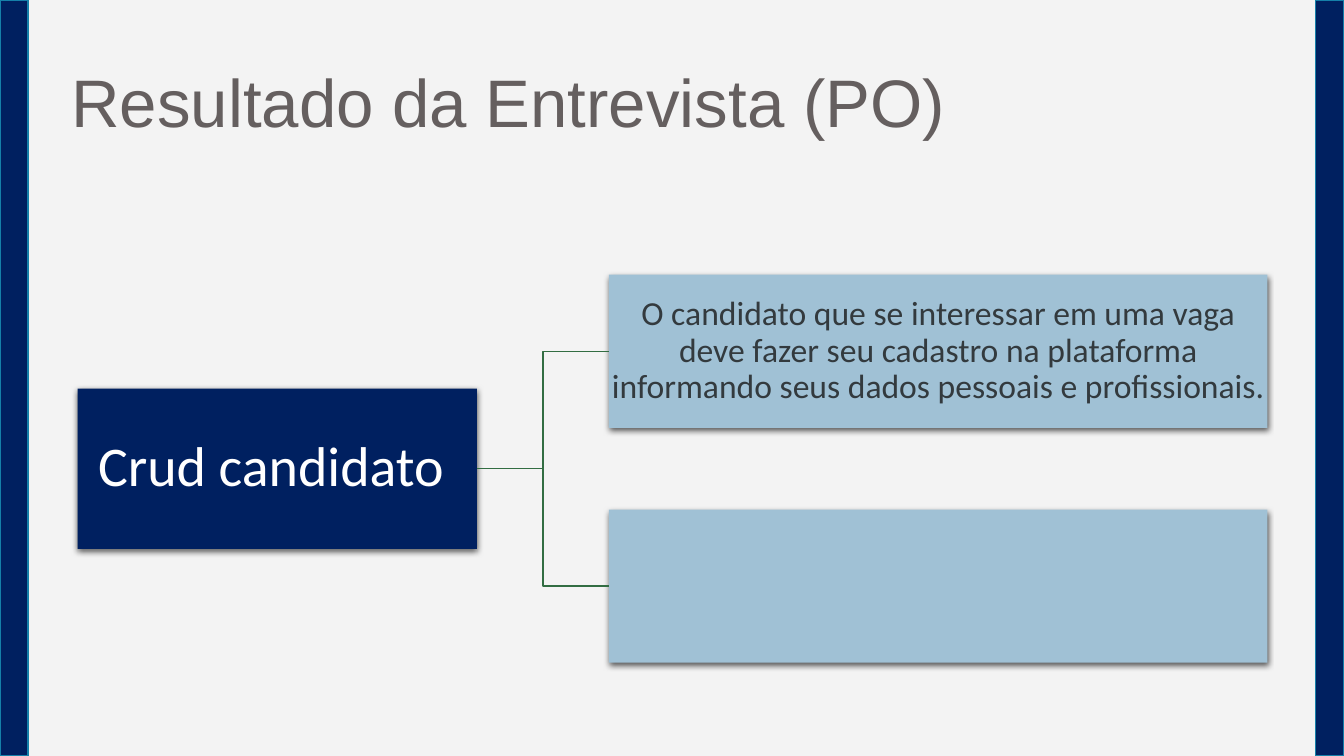
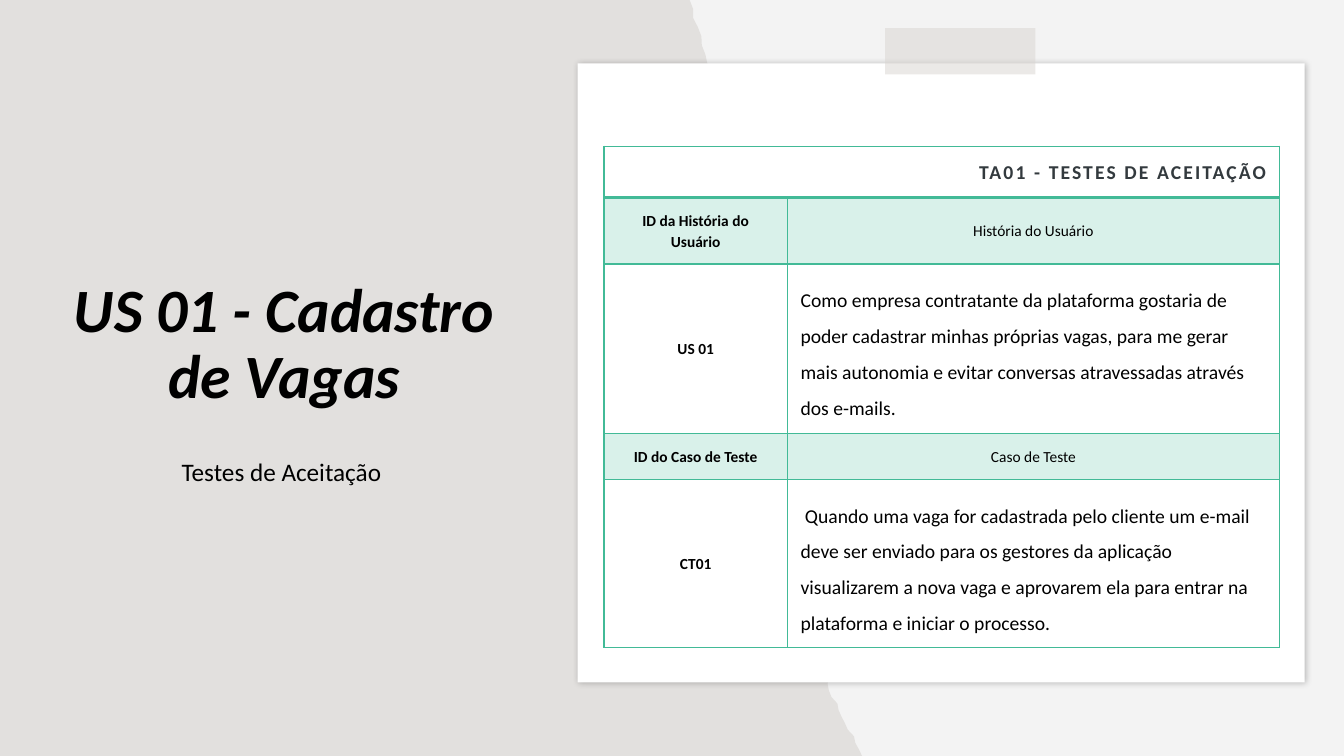
from itertools import pairwise
from math import sin

from lxml.etree import SubElement
from pptx import Presentation
from pptx.dml.color import RGBColor
from pptx.enum.shapes import MSO_CONNECTOR as CONN, MSO_SHAPE as SHAPE
from pptx.enum.text import MSO_ANCHOR as ANCHOR, PP_ALIGN as ALIGN
from pptx.oxml.ns import qn
from pptx.util import Inches, Pt

BG, NAVY, SKY, INK, TEAL, MINT = "F3F3F3", "002060", "A0C1D5", "333A3E", "42BA97", "D9F1EA"
BLACK, WHITE, GREY = "000000", "FFFFFF", "655F5F"
BAR_LINE, LINK_GREEN, PAPER, TAPE = "1580A9", "326D42", "82766A", "D9D4D0"
WIDTH, HEIGHT = 13.33, 7.5
BAR_W = 0.28

ROOT = "Crud candidato "
LEAVES = [
    "O candidato que se interessar em uma vaga deve fazer seu cadastro na plataforma "
    "informando seus dados pessoais e profissionais.",
    "",
]
TREE_MID = 4.65
ROOT_LEFT, ROOT_W, ROOT_H = 0.77, 3.96, 1.59
LEAF_LEFT, LEAF_W, LEAF_H, LEAF_GAP = 6.04, 6.53, 1.52, 0.81

TABLE_TITLE = "TA01 - TESTES DE ACEITAÇÃO"
TABLE_SECTIONS = [
    (("ID da História do Usuário", "História do Usuário"),
     ("US 01", "Como empresa contratante da plataforma gostaria de poder cadastrar minhas próprias "
      "vagas, para me gerar mais autonomia e evitar conversas atravessadas através dos e-mails.")),
    (("ID do Caso de Teste", "Caso de Teste"),
     ("CT01", "\u00a0Quando uma vaga for cadastrada pelo cliente um e-mail deve ser enviado para os "
      "gestores da aplicação visualizarem a nova vaga e aprovarem ela para entrar na plataforma "
      "e iniciar o processo.")),
]
TABLE_LEFT, TABLE_TOP = 5.99, 1.45
COL_WIDTHS = [1.82, 4.88]
ROW_HEIGHTS = [0.51, 0.66, 1.68, 0.45, 1.67]

TEAR_BENDS = [(6.84, 0), (7.1, 0.9), (7.26, 2.3), (7.29, 4), (7.54, 5.1), (8.23, 6.2),
              (8.22, 6.85), (8.55, HEIGHT)]
TEAR_STEPS, TEAR_DEPTH = 10, 0.02


def rgb(color):
    return RGBColor.from_string(color)


def set_alpha(color_el, percent):
    SubElement(color_el, qn("a:alpha"), val=str(percent * 1000))


def paint(sp, fill, line=None, alpha=None):
    sp.shadow.inherit = False
    sp.fill.solid()
    sp.fill.fore_color.rgb = rgb(fill)
    if alpha:
        set_alpha(sp._element.spPr.find(qn("a:solidFill"))[0], alpha)
    if line:
        sp.line.color.rgb = rgb(line)
        sp.line.width = Pt(1)
    else:
        sp.line.fill.background()


def add_shadow(sp, alpha, blur, dist, angle):
    effects = sp._element.spPr.find(qn("a:effectLst"))
    shadow = SubElement(effects, qn("a:outerShdw"), blurRad=str(Pt(blur)), dist=str(Pt(dist)),
                        dir=str(angle * 60000), algn="ctr", rotWithShape="0")
    set_alpha(SubElement(shadow, qn("a:srgbClr"), val=BLACK), alpha)


def set_margins(holder, inches):
    for side in ("left", "right", "top", "bottom"):
        setattr(holder, f"margin_{side}", Inches(inches))


def write(tf, text, size, color, align=ALIGN.CENTER, anchor=ANCHOR.MIDDLE, spacing=0.9,
          font="Calibri", bold=False, italic=False):
    tf.word_wrap = True
    tf.vertical_anchor = anchor
    p = tf.paragraphs[0]
    p.alignment = align
    p.line_spacing = spacing
    r = p.add_run()
    r.text = text
    r.font.size = Pt(size)
    r.font.name = font
    r.font.color.rgb = rgb(color)
    r.font.bold = bold
    r.font.italic = italic
    return p, r


def add_rect(s, box, fill, line=None, alpha=None):
    sp = s.shapes.add_shape(SHAPE.RECTANGLE, *map(Inches, box))
    paint(sp, fill, line, alpha)
    return sp


def add_text(s, box, text, size, color, **style):
    write(s.shapes.add_textbox(*map(Inches, box)).text_frame, text, size, color, **style)


def add_title(s, box, text, size, color, **style):
    add_text(s, box, text, size, color, anchor=ANCHOR.BOTTOM, **style)


def add_node(s, left, middle, width, height, fill, text, size, color):
    sp = add_rect(s, (left, middle - height / 2, width, height), fill)
    add_shadow(sp, 63, 4.5, 1.5, 90)
    set_margins(sp.text_frame, 0.02)
    if text:
        write(sp.text_frame, text, size, color)
    return sp


def add_link(s, parent, child):
    link = s.shapes.add_connector(CONN.ELBOW, 0, 0, 0, 0)
    link.begin_connect(parent, 3)
    link.end_connect(child, 1)
    link.line.color.rgb = rgb(LINK_GREEN)
    link.line.width = Pt(1)
    SubElement(link._element.spPr, qn("a:effectLst"))


def add_tree(s):
    root = add_node(s, ROOT_LEFT, TREE_MID, ROOT_W, ROOT_H, NAVY, ROOT, 40, WHITE)
    for i, text in enumerate(LEAVES):
        middle = TREE_MID + (i - (len(LEAVES) - 1) / 2) * (LEAF_H + LEAF_GAP)
        leaf = add_node(s, LEAF_LEFT, middle, LEAF_W, LEAF_H, SKY, text, 24, INK)
        add_link(s, root, leaf)


def tear_edge():
    for (x0, y0), (x1, y1) in pairwise(TEAR_BENDS):
        for step in range(TEAR_STEPS):
            t = step / TEAR_STEPS
            y = y0 + (y1 - y0) * t
            yield x0 + (x1 - x0) * t + TEAR_DEPTH * sin(29 * y) * sin(11 * y), y
    yield TEAR_BENDS[-1]


def add_torn_paper(s):
    outline = [*tear_edge(), (0, HEIGHT)]
    builder = s.shapes.build_freeform(0, 0)
    builder.add_line_segments([(Inches(x), Inches(y)) for x, y in outline], close=True)
    paint(builder.convert_to_shape(), PAPER, alpha=15)


def style_cell(cell, fill=None, bottom=1):
    tcPr = cell._tc.get_or_add_tcPr()
    for side, width in zip("LRTB", (1, 1, 1, bottom)):
        ln = SubElement(tcPr, qn("a:ln" + side), w=str(Pt(width)))
        SubElement(SubElement(ln, qn("a:solidFill")), qn("a:srgbClr"), val=TEAL)
    if fill:
        cell.fill.solid()
        cell.fill.fore_color.rgb = rgb(fill)
    else:
        cell.fill.background()
    set_margins(cell, 0.13)


def write_cell(cell, text, size, color, spacing=1.07, **style):
    p, r = write(cell.text_frame, text, size, color, spacing=spacing, **style)
    p.space_after = Pt(8)
    cell.vertical_anchor = ANCHOR.MIDDLE
    return r


def add_test_table(s):
    table = s.shapes.add_table(len(ROW_HEIGHTS), len(COL_WIDTHS),
                               Inches(TABLE_LEFT), Inches(TABLE_TOP),
                               Inches(sum(COL_WIDTHS)), Inches(sum(ROW_HEIGHTS))).table
    table.first_row = table.horz_banding = False
    for col, width in zip(table.columns, COL_WIDTHS):
        col.width = Inches(width)
    for row, height in zip(table.rows, ROW_HEIGHTS):
        row.height = Inches(height)

    heading, *body = table.rows
    heading.cells[0].merge(heading.cells[1])
    for cell in heading.cells:
        style_cell(cell, bottom=2)
    r = write_cell(heading.cells[0], TABLE_TITLE, 14, INK, align=ALIGN.RIGHT, bold=True)
    r.font._element.set("spc", "150")

    rows = iter(body)
    for labels, (code, story) in TABLE_SECTIONS:
        label_cells, (code_cell, story_cell) = next(rows).cells, next(rows).cells
        for cell, label, bold in zip(label_cells, labels, (True, False)):
            style_cell(cell, MINT)
            write_cell(cell, label, 11, BLACK, bold=bold)
        style_cell(code_cell)
        write_cell(code_cell, code, 11, BLACK, bold=True)
        style_cell(story_cell)
        write_cell(story_cell, story, 14, BLACK, spacing=1.5, align=ALIGN.LEFT)


prs = Presentation()
prs.slide_width, prs.slide_height = Inches(WIDTH), Inches(HEIGHT)
master_fill = prs.slide_master.background.fill
master_fill.solid()
master_fill.fore_color.rgb = rgb(BG)
blank = prs.slide_layouts[6]

s = prs.slides.add_slide(blank)
add_tree(s)
add_title(s, (0.61, 0.41, 9.88, 1.05), "Resultado da Entrevista (PO)", 48, GREY,
          align=ALIGN.LEFT, font="Arial")
for left in (0, WIDTH - BAR_W):
    add_rect(s, (left, 0, BAR_W, HEIGHT), NAVY, BAR_LINE)

s = prs.slides.add_slide(blank)
add_torn_paper(s)
add_title(s, (0.57, 1.08, 4.5, 3.06), "US 01 - Cadastro de Vagas", 44, BLACK,
          bold=True, italic=True)
add_text(s, (0.92, 4.51, 3.8, 1.24), "Testes de Aceitação ", 18, BLACK, anchor=ANCHOR.TOP)
card = add_rect(s, (5.73, 0.63, 7.21, 6.14), WHITE)
add_shadow(card, 24, 4, 1, 50)
add_rect(s, (8.78, 0.28, 1.49, 0.46), TAPE, alpha=50)
add_test_table(s)

prs.save("out.pptx")
